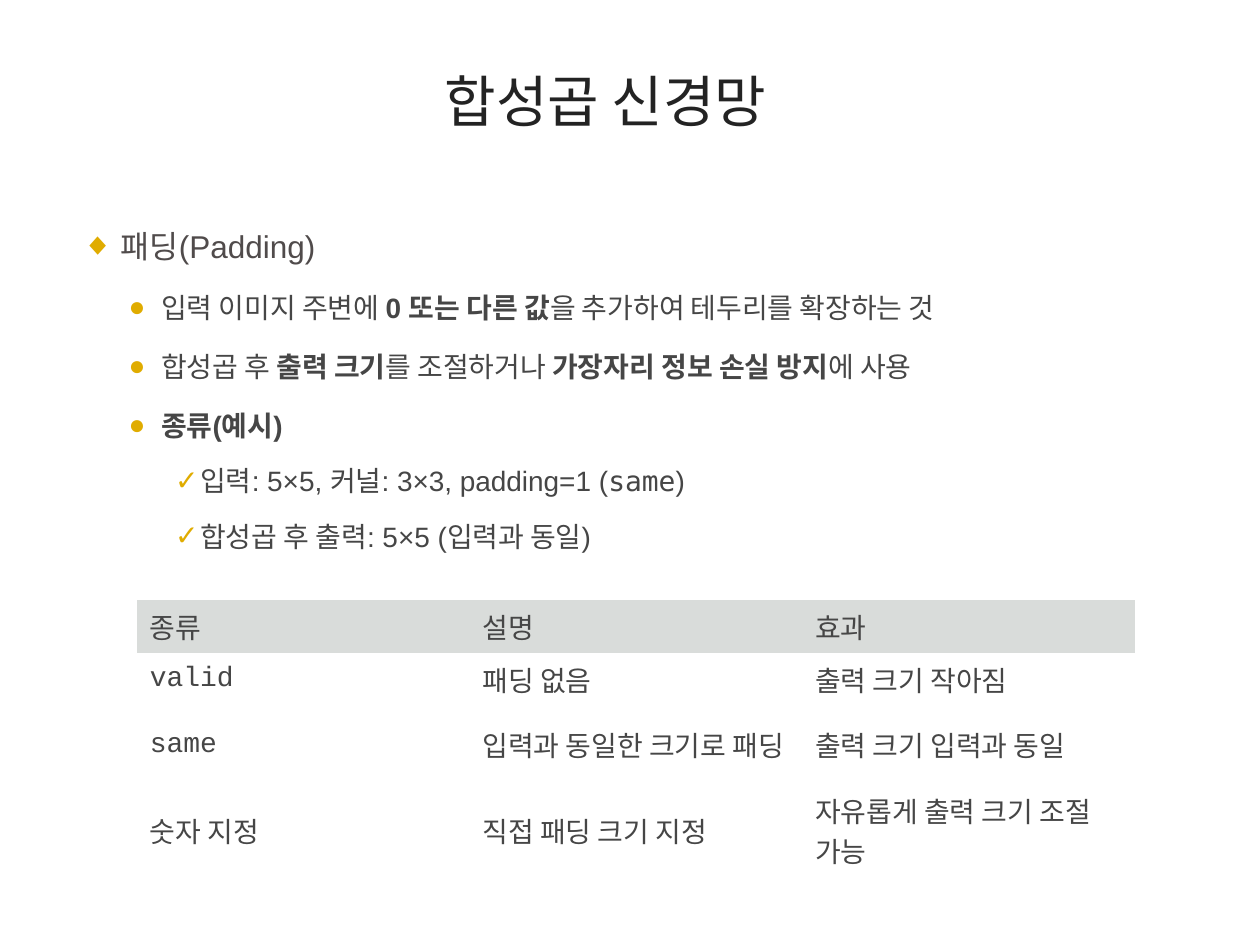
from dataclasses import dataclass

from lxml import etree
from pptx import Presentation
from pptx.dml.color import RGBColor
from pptx.enum.text import MSO_ANCHOR, MSO_AUTO_SIZE, PP_ALIGN
from pptx.oxml.ns import qn
from pptx.util import Inches, Pt

MIDDLE, BOTTOM = MSO_ANCHOR.MIDDLE, MSO_ANCHOR.BOTTOM
LEFT = PP_ALIGN.LEFT
NO_FIT = MSO_AUTO_SIZE.NONE
NO_TABLE_STYLE = "{2D5ABB26-0587-4C30-8999-92F81FD0307C}"


@dataclass(frozen=True)
class Theme:
    heading: str = "232323"
    topic: str = "504B4B"
    body: str = "464646"
    accent: str = "E0AC00"
    header_fill: str = "D9DCDA"
    title_size: int = 32
    topic_size: int = 18
    body_size: int = 16
    korean: str = "Noto Sans CJK KR"
    latin: str = "Arial"
    table: str = "Calibri"
    code: str = "Courier New"
    inline_code: str = "DejaVu Sans Mono"


THEME = Theme()

TITLE = "합성곱 신경망"

# (level, [(text, style)]) where style is "", "bold" or "code"
POINTS = [
    (0, [("패딩(Padding)", "")]),
    (1, [("입력 이미지 주변에 ", ""), ("0 또는 다른 값", "bold"),
         ("을 추가하여 테두리를 확장하는 것", "")]),
    (1, [("합성곱 후 ", ""), ("출력 크기", "bold"), ("를 조절하거나 ", ""),
         ("가장자리 정보 손실 방지", "bold"), ("에 사용", "")]),
    (1, [("종류(예시)", "bold")]),
    (2, [("입력: 5×5, 커널: 3×3, padding=1 (", ""), ("same", "code"), (")", "")]),
    (2, [("합성곱 후 출력: 5×5 (입력과 동일)", "")]),
]

# bullet, left margin, hanging indent, space before, size, colour
LEVELS = [
    ("◆", 0.31, 0.31, 6, THEME.topic_size, THEME.topic),
    ("●", 0.63, 0.26, 5, THEME.body_size, THEME.body),
    ("✓", 0.94, 0.2, 3, THEME.body_size, THEME.body),
]

PADDING_KINDS = [
    ("종류", "설명", "효과"),
    ("valid", "패딩 없음", "출력 크기 작아짐"),
    ("same", "입력과 동일한 크기로 패딩", "출력 크기 입력과 동일"),
    ("숫자 지정", "직접 패딩 크기 지정", "자유롭게 출력 크기 조절 가능"),
]
CODE_WORDS = {"valid", "same"}
ROW_HEIGHTS = [0.36, 0.36, 0.62, 0.62]


def place(shape, left, top, width, height):
    shape.left, shape.top = Inches(left), Inches(top)
    shape.width, shape.height = Inches(width), Inches(height)


def set_font(paragraph, name, size, color):
    """Format the paragraph, with the Korean font for East Asian letters."""
    font = paragraph.font
    font.name, font.size = name, Pt(size)
    font.color.rgb = RGBColor.from_string(color)
    defaults = paragraph._p.pPr.find(qn("a:defRPr"))
    etree.SubElement(defaults, qn("a:ea"), typeface=THEME.korean)


def set_bullet(paragraph, char, margin, hanging):
    properties = paragraph._p.get_or_add_pPr()
    properties.set("marL", str(Inches(margin)))
    properties.set("indent", str(-Inches(hanging)))
    color = etree.SubElement(properties, qn("a:buClr"))
    etree.SubElement(color, qn("a:srgbClr"), val=THEME.accent)
    etree.SubElement(properties, qn("a:buChar"), char=char)


def add_title(slide):
    title = slide.shapes.title
    place(title, 3.43, 0.42, 3.45, 0.69)
    frame = title.text_frame
    frame.text = TITLE
    frame.auto_size, frame.vertical_anchor = NO_FIT, BOTTOM
    heading = frame.paragraphs[0]
    heading.alignment = LEFT
    set_font(heading, THEME.korean, THEME.title_size, THEME.heading)


def add_points(slide):
    body = slide.placeholders[1]
    place(body, 0.55, 1.6, 8.86, 5.62)
    frame = body.text_frame
    frame.auto_size = NO_FIT
    for index, (level, parts) in enumerate(POINTS):
        point = frame.add_paragraph() if index else frame.paragraphs[0]
        char, margin, hanging, before, size, color = LEVELS[level]
        point.level = level
        set_bullet(point, char, margin, hanging)
        point.line_spacing = 1.5
        point.space_before = Pt(before if index else 0)
        set_font(point, THEME.latin, size, color)
        for text, style in parts:
            run = point.add_run()
            run.text = text
            if style == "bold":
                run.font.bold = True
            elif style == "code":
                run.font.name = THEME.inline_code


def add_kinds_table(slide):
    columns = len(PADDING_KINDS[0])
    frame = slide.shapes.add_table(
        len(PADDING_KINDS), columns, Inches(1.09), Inches(4.76),
        Inches(2.64 * columns), Inches(sum(ROW_HEIGHTS)))
    table = frame.table
    table.horz_banding = False
    table._tbl.tblPr.find(qn("a:tableStyleId")).text = NO_TABLE_STYLE
    for row, height in zip(table.rows, ROW_HEIGHTS):
        row.height = Inches(height)
    for r, texts in enumerate(PADDING_KINDS):
        for c, text in enumerate(texts):
            cell = table.cell(r, c)
            cell.text = text
            cell.vertical_anchor = MIDDLE
            if r == 0:
                cell.fill.solid()
                cell.fill.fore_color.rgb = RGBColor.from_string(THEME.header_fill)
            else:
                cell.fill.background()
            name = THEME.code if text in CODE_WORDS else THEME.table
            set_font(cell.text_frame.paragraphs[0], name, THEME.body_size, THEME.body)


def main():
    deck = Presentation()
    deck.slide_width, deck.slide_height = Inches(10), Inches(7.5)
    slide = deck.slides.add_slide(deck.slide_layouts[1])
    add_points(slide)
    add_title(slide)
    add_kinds_table(slide)
    deck.save("out.pptx")


if __name__ == "__main__":
    main()
